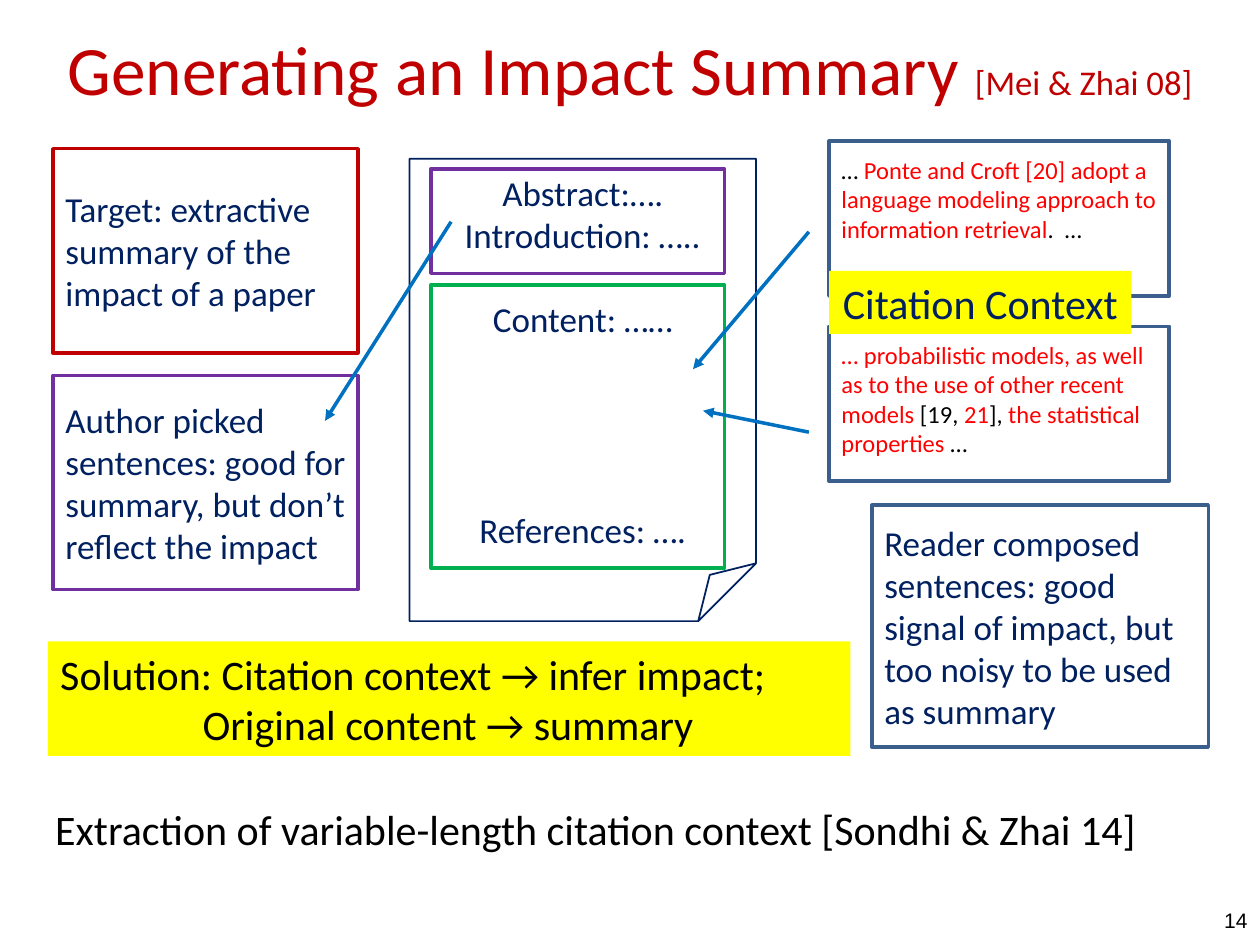
"""Build the slide on generating an impact summary."""
import pptx
import pptx.dml.color
import pptx.enum.shapes
import pptx.enum.text
import pptx.oxml
import pptx.oxml.ns
import pptx.util

Inches = pptx.util.Inches
Pt = pptx.util.Pt
Shape = pptx.enum.shapes.MSO_SHAPE
Align = pptx.enum.text.PP_ALIGN
Anchor = pptx.enum.text.MSO_ANCHOR

COLORS = {
    "title": "C00000", "navy": "002060", "purple": "7030A0",
    "green": "00B050", "steel": "3A5F8C", "arrow": "0070C0",
    "mark": "FFFF00", "quote": "FF0000", "black": "000000", "white": "FFFFFF",
}


def color(name):
    """Return the named colour."""
    return pptx.dml.color.RGBColor.from_string(COLORS[name])


def apply(target, values):
    """Set each attribute of the target from a dict."""
    for name, value in values.items():
        setattr(target, name, value)


def add_span(para, text, size, ink, font="Calibri"):
    """Add one formatted run to a paragraph."""
    span = para.add_run()
    span.text = text
    apply(span.font, {"size": Pt(size), "name": font, "bold": False})
    span.font.color.rgb = color(ink)


def write(box, paras, size, ink="navy", align=Align.LEFT,
          anchor=Anchor.MIDDLE, font="Calibri"):
    """Fill a box with paragraphs, each a string or a list of (text, ink)."""
    frame = box.text_frame
    apply(frame, {"word_wrap": True, "vertical_anchor": anchor})
    for index, content in enumerate(paras):
        para = frame.paragraphs[0] if index == 0 else frame.add_paragraph()
        para.alignment = align
        spans = [(content, ink)] if isinstance(content, str) else content
        for text, span_ink in spans:
            add_span(para, text, size, span_ink, font)
    return frame


def add_box(page, area, line=None, fill=None, width=2, kind=Shape.RECTANGLE):
    """Add a plain shape with optional outline and fill."""
    box = page.shapes.add_shape(kind, *map(Inches, area))
    box.shadow.inherit = False
    if fill:
        box.fill.solid()
        box.fill.fore_color.rgb = color(fill)
    else:
        box.fill.background()
    if line:
        box.line.color.rgb = color(line)
        box.line.width = Pt(width)
    else:
        box.line.fill.background()
    return box


def add_arrow(page, start, end):
    """Add a straight arrow between two points."""
    arrow = page.shapes.add_connector(
        pptx.enum.shapes.MSO_CONNECTOR.STRAIGHT, *map(Inches, start + end))
    arrow.line.color.rgb = color("arrow")
    arrow.line.width = Pt(2)
    head = pptx.oxml.parse_xml(
        f'<a:tailEnd {pptx.oxml.ns.nsdecls("a")} type="triangle"/>')
    arrow.line._get_or_add_ln().append(head)
    arrow._element.spPr.append(pptx.oxml.parse_xml(
        f'<a:effectLst {pptx.oxml.ns.nsdecls("a")}/>'))


def add_title(page, area):
    """Place the title and its citation in the title placeholder."""
    title = page.shapes.title
    apply(title, dict(zip(("left", "top", "width", "height"), map(Inches, area))))
    frame = title.text_frame
    apply(frame, {"word_wrap": True, "vertical_anchor": Anchor.MIDDLE})
    para = frame.paragraphs[0]
    para.alignment = Align.CENTER
    add_span(para, "Generating an Impact Summary ", 39.6, "title")
    add_span(para, "[Mei & Zhai 08]", 19.8, "title")


def add_paper(page, area):
    """Draw the paper with its abstract and content frames."""
    left, top, width, height = area
    paper = add_box(page, area, "navy", width=1, kind=Shape.FOLDED_CORNER)
    lines = ["Abstract:….", "Introduction: …..", "Content: ……", "References: …."]
    frame = write(paper, lines, 20, align=Align.CENTER)
    for index, gap in ((1, 24), (2, 97)):
        frame.paragraphs[index].space_after = Pt(gap)
    for offset, depth, line in ((0.08, 0.83, "purple"), (1, 2.25, "green")):
        add_box(page, (left + 0.17, top + offset, 2.33, depth), line)


def add_citations(page, area):
    """Stack two framed citation quotes with a label between them."""
    left, top, width, height = area
    quotes = (
        [("… ", "black"),
         ("Ponte and Croft [20] adopt a language modeling approach to "
          "information retrieval", "quote"),
         (".  …", "black")],
        [("… probabilistic models, as well as to the use of other recent "
          "models ", "quote"),
         ("[19, ", "black"), ("21", "quote"), ("], ", "black"),
         ("the statistical properties ", "quote"), ("…", "black")],
    )
    for index, quote in enumerate(quotes):
        y = top + index * 1.47
        box = add_box(page, (left, y + 0.06, width + 0.05, 1.04), fill="white")
        write(box, [quote], 14, anchor=Anchor.TOP)
        add_box(page, (left, y, width, 1.23), "steel")
    label = add_box(page, (left, top + 1.03, 2.4, 0.5), fill="mark")
    frame = write(label, ["Citation Context"], 24, align=Align.CENTER)
    apply(frame, {"margin_left": Inches(0.05), "margin_right": Inches(0.05)})


def add_note(page, area, line, text):
    """Add an outlined note."""
    write(add_box(page, area, line), [text], 20)


def add_solution(page, area):
    """Add the highlighted solution with an indented second line."""
    lines = ["Solution: Citation context → infer impact;",
             "Original content → summary"]
    frame = write(add_box(page, area, fill="mark"), lines, 24, "black")
    properties = frame.paragraphs[1]._p.get_or_add_pPr()
    properties.set("marL", str(Inches(1.13)))


def add_text(page, area, text, **style):
    """Add a text box holding one line."""
    write(page.shapes.add_textbox(*map(Inches, area)), [text], **style)


def main():
    """Build and save the deck."""
    deck = pptx.Presentation()
    apply(deck, {"slide_width": Inches(10), "slide_height": Inches(7.5)})
    page = deck.slides.add_slide(deck.slide_layouts[5])
    add_title(page, (0, 0, 10, 1.08))
    add_paper(page, (3.25, 1.26, 2.75, 3.67))
    add_citations(page, (6.58, 1.12, 2.7, 1.23))
    add_note(page, (0.42, 1.18, 2.42, 1.62), "title",
             "Target: extractive summary of the impact of a paper")
    add_note(page, (0.42, 2.98, 2.42, 1.7), "purple",
             "Author picked sentences: good for summary, but don’t reflect "
             "the impact")
    add_note(page, (6.92, 4.01, 2.67, 1.92), "steel",
             "Reader composed sentences: good signal of impact, but too noisy "
             "to be used as summary")
    add_solution(page, (0.38, 5.09, 6.37, 0.91))
    for start, end in (((6.42, 1.84), (5.5, 2.93)),
                       ((6.42, 3.43), (5.58, 3.26)),
                       ((3.58, 1.76), (2.58, 3.34))):
        add_arrow(page, start, end)
    add_text(page, (0.34, 6.33, 8.86, 0.5),
             "Extraction of variable-length citation context [Sondhi & Zhai 14]",
             size=24, ink="black", anchor=Anchor.TOP)
    add_text(page, (7.67, 7.1, 2.33, 0.4), "14", size=12, ink="black",
             align=Align.RIGHT, font="Arial")
    deck.save("out.pptx")


if __name__ == "__main__":
    main()
